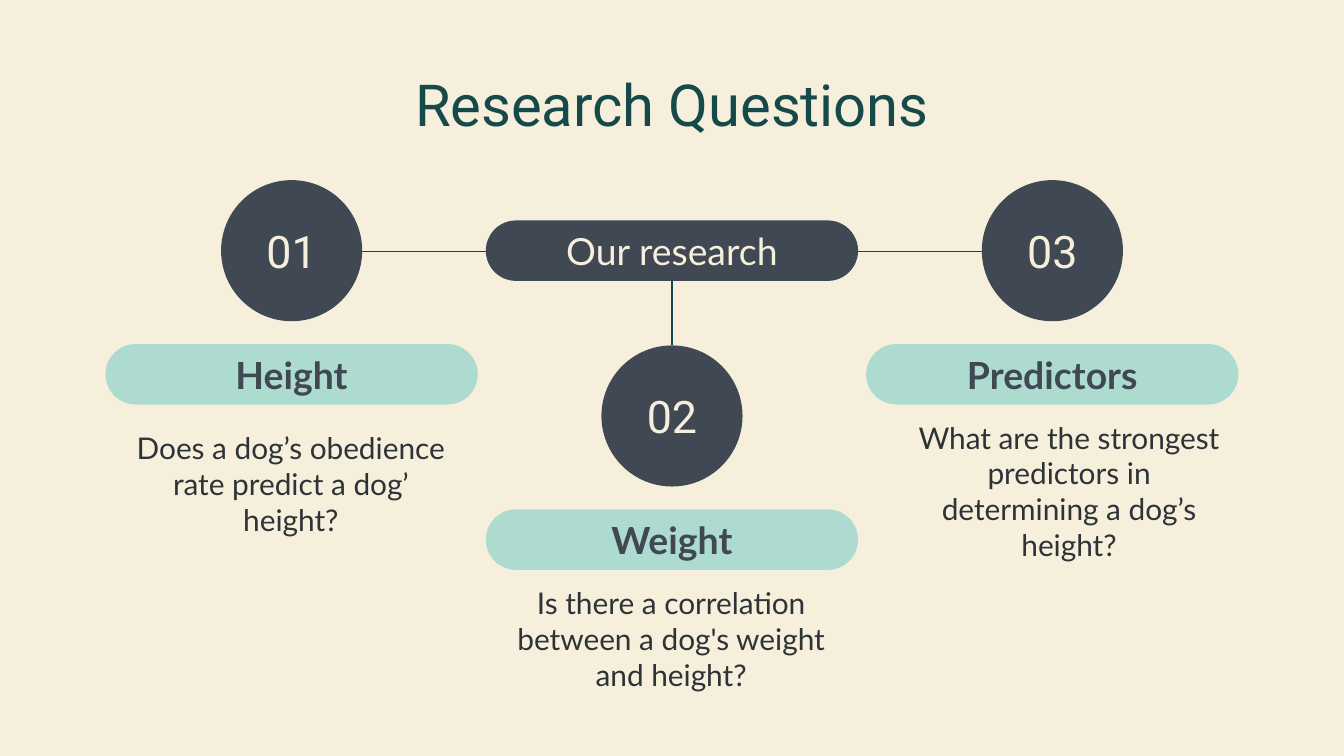
import dataclasses

import lxml.etree
import pptx
import pptx.dml.color
import pptx.enum.shapes
import pptx.enum.text
import pptx.oxml.ns
import pptx.util

Inches = pptx.util.Inches
Shapes = pptx.enum.shapes.MSO_SHAPE
Anchor = pptx.enum.text.MSO_ANCHOR


@dataclasses.dataclass(frozen=True)
class Theme:
    cream: str = "F6EFDC"
    slate: str = "3F4853"
    mint: str = "ADDBD0"
    teal: str = "164A4A"
    body: str = "2E3338"
    heading_font: str = "Roboto"
    body_font: str = "Lato"
    title_size: float = 31
    number_size: float = 24
    label_size: float = 20
    body_size: float = 16
    line_width: float = 0.75


@dataclasses.dataclass(frozen=True)
class Box:
    left: float
    top: float
    width: float
    height: float

    def lengths(self) -> list[int]:
        return [Inches(value) for value in dataclasses.astuple(self)]


@dataclasses.dataclass(frozen=True)
class Question:
    number: str
    label: str
    text: str
    center: float
    circle_top: float
    text_box: Box


THEME = Theme()
SLIDE_WIDTH = 10
SLIDE_HEIGHT = SLIDE_WIDTH * 9 / 16
CENTER = SLIDE_WIDTH / 2
CIRCLE = 1.05
PILL_WIDTH, PILL_HEIGHT = 2.77, 0.45
PILL_GAP = 0.06
COLUMN_PITCH = PILL_WIDTH + PILL_GAP
PILL_DROP = 1.22  # from the top of a circle to the top of its label
TOP_ROW, LOWER_ROW = 1.34, 2.57
HUB_TOP = 1.64
LINE_LEVEL = 1.87
TEXT_WIDTH = 2.53

QUESTIONS = [
    Question("01", "Height", "Does a dog’s obedience rate predict a dog’ height?",
             CENTER - COLUMN_PITCH, TOP_ROW, Box(0.9, 3.1, TEXT_WIDTH, 1.01)),
    Question("02", "Weight", "Is there a correlation between a dog's weight and height?",
             CENTER, LOWER_ROW, Box(3.73, 4.25, TEXT_WIDTH, 1.55)),
    Question("03", "Predictors",
             "What are the strongest predictors in determining a dog’s height?",
             CENTER + COLUMN_PITCH, TOP_ROW, Box(6.69, 3.02, TEXT_WIDTH, 1.55)),
]


def color(value: str) -> pptx.dml.color.RGBColor:
    return pptx.dml.color.RGBColor.from_string(value)


def write_text(shape, text: str, *, font: str, size: float, fill: str,
               bold: bool = False, anchor=Anchor.MIDDLE, inset: float = 0.1) -> None:
    frame = shape.text_frame
    frame.word_wrap = True
    frame.vertical_anchor = anchor
    frame.margin_left = frame.margin_right = Inches(inset)
    frame.margin_top = frame.margin_bottom = Inches(inset)
    paragraph = frame.paragraphs[0]
    paragraph.alignment = pptx.enum.text.PP_ALIGN.CENTER
    run = paragraph.add_run()
    run.text = text
    run.font.name = font
    run.font.size = pptx.util.Pt(size)
    run.font.bold = bold
    run.font.color.rgb = color(fill)


def add_filled(slide, kind, box: Box, fill: str):
    shape = slide.shapes.add_shape(kind, *box.lengths())
    shape.shadow.inherit = False
    shape.fill.solid()
    shape.fill.fore_color.rgb = color(fill)
    shape.line.fill.background()
    return shape


def add_pill(slide, text: str, center: float, top: float, *,
             fill: str, text_fill: str, bold: bool) -> None:
    box = Box(center - PILL_WIDTH / 2, top, PILL_WIDTH, PILL_HEIGHT)
    pill = add_filled(slide, Shapes.ROUNDED_RECTANGLE, box, fill)
    pill.adjustments[0] = 0.5
    write_text(pill, text, font=THEME.body_font, size=THEME.label_size,
               fill=text_fill, bold=bold)


def add_question(slide, question: Question) -> None:
    circle_box = Box(question.center - CIRCLE / 2, question.circle_top, CIRCLE, CIRCLE)
    circle = add_filled(slide, Shapes.OVAL, circle_box, THEME.slate)
    write_text(circle, question.number, font=THEME.heading_font,
               size=THEME.number_size, fill=THEME.cream)
    add_pill(slide, question.label, question.center, question.circle_top + PILL_DROP,
             fill=THEME.mint, text_fill=THEME.slate, bold=True)
    text_box = slide.shapes.add_textbox(*question.text_box.lengths())
    write_text(text_box, question.text, font=THEME.body_font, size=THEME.body_size,
               fill=THEME.body, anchor=Anchor.TOP)


def add_line(slide, start: tuple[float, float], end: tuple[float, float]) -> None:
    line = slide.shapes.add_connector(
        pptx.enum.shapes.MSO_CONNECTOR.STRAIGHT, *[Inches(value) for value in start + end])
    line.line.color.rgb = color(THEME.teal)
    line.line.width = pptx.util.Pt(THEME.line_width)
    lxml.etree.SubElement(line._element.spPr, pptx.oxml.ns.qn("a:effectLst"))


def main() -> None:
    presentation = pptx.Presentation()
    presentation.slide_width = Inches(SLIDE_WIDTH)
    presentation.slide_height = Inches(SLIDE_HEIGHT)
    slide = presentation.slides.add_slide(presentation.slide_layouts[6])
    slide.background.fill.solid()
    slide.background.fill.fore_color.rgb = color(THEME.cream)

    # Title
    title = slide.shapes.add_textbox(*Box(0.78, 0.51, 8.44, 0.5).lengths())
    write_text(title, "Research Questions", font=THEME.heading_font,
               size=THEME.title_size, fill=THEME.teal, anchor=Anchor.TOP, inset=0)

    # Questions around the central hub
    for question in QUESTIONS:
        add_question(slide, question)
    add_pill(slide, "Our research", CENTER, HUB_TOP,
             fill=THEME.slate, text_fill=THEME.cream, bold=False)

    # Lines from the hub to each circle
    for side in (-1, 1):
        add_line(slide, (CENTER + side * PILL_WIDTH / 2, LINE_LEVEL),
                 (CENTER + side * (COLUMN_PITCH - CIRCLE / 2), LINE_LEVEL))
    add_line(slide, (CENTER, HUB_TOP + PILL_HEIGHT), (CENTER, LOWER_ROW))

    presentation.save("out.pptx")


if __name__ == "__main__":
    main()
